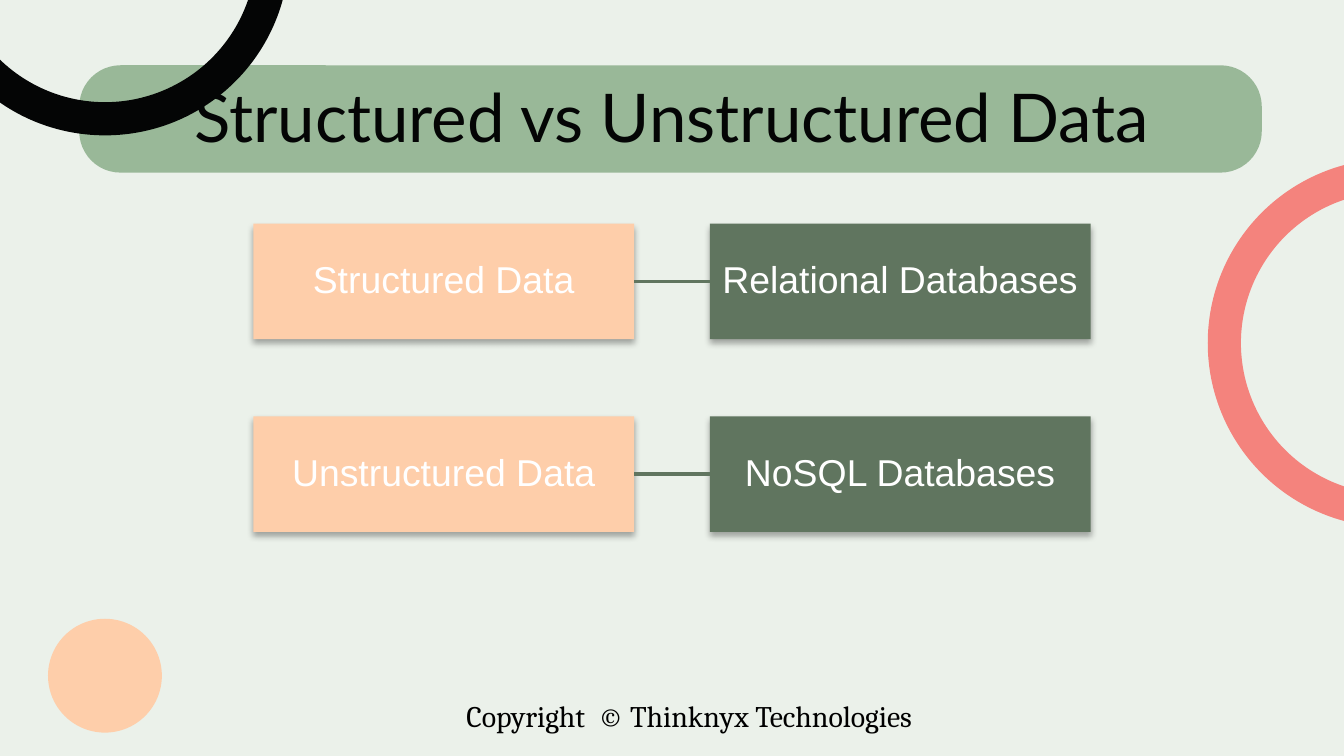
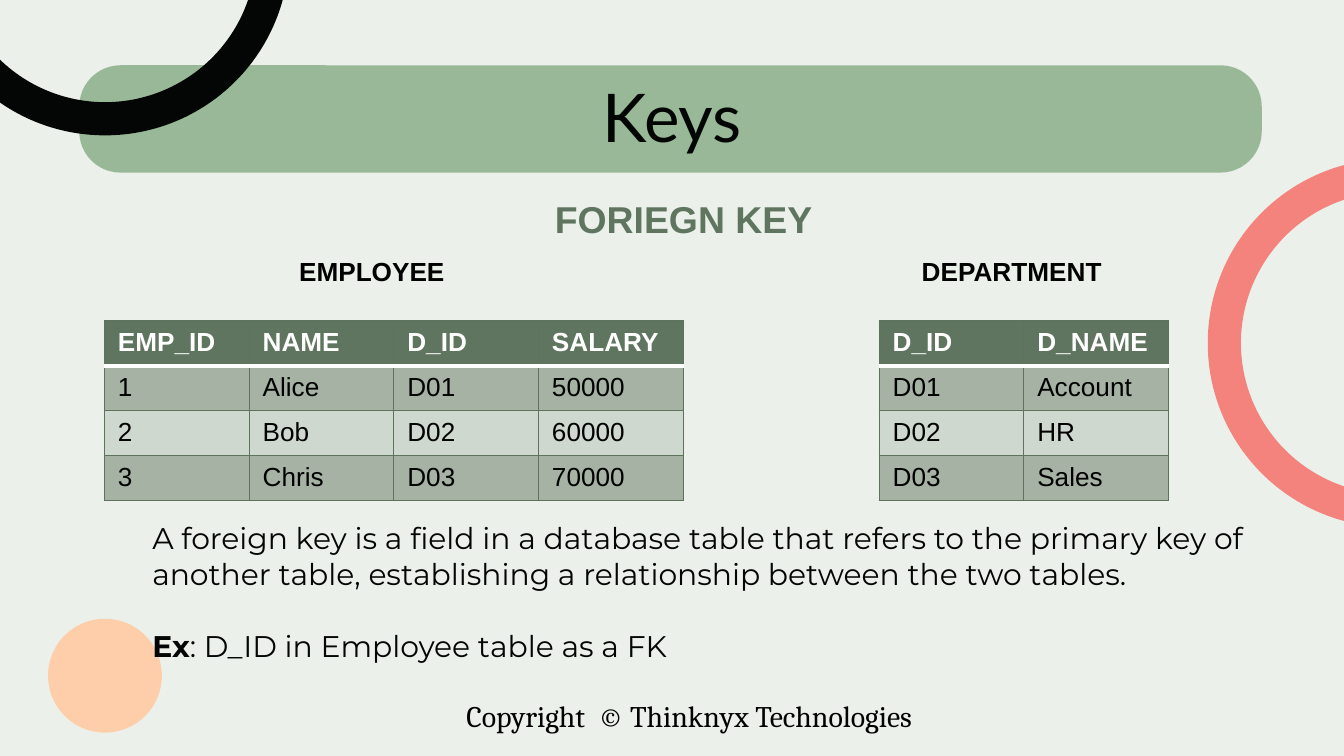
"""Build two database slides: structured vs unstructured data, and the foreign key."""
from dataclasses import dataclass

from lxml import etree
from pptx import Presentation
from pptx.dml.color import RGBColor
from pptx.enum.shapes import MSO_CONNECTOR, MSO_SHAPE
from pptx.enum.text import MSO_ANCHOR, PP_ALIGN
from pptx.oxml.ns import qn
from pptx.util import Pt

STRAIGHT = MSO_CONNECTOR.STRAIGHT
RECTANGLE, ROUNDED = MSO_SHAPE.RECTANGLE, MSO_SHAPE.ROUNDED_RECTANGLE
OVAL, ARC = MSO_SHAPE.OVAL, MSO_SHAPE.BLOCK_ARC
MIDDLE = MSO_ANCHOR.MIDDLE
LEFT, CENTER = PP_ALIGN.LEFT, PP_ALIGN.CENTER
RIGHT_SIDE, LEFT_SIDE = 3, 1


@dataclass(frozen=True)
class Theme:
    paper: str = "EBF1EA"
    sage: str = "99B898"
    peach: str = "FECEAA"
    coral: str = "F4837D"
    ink: str = "040505"
    black: str = "000000"
    white: str = "FFFFFF"
    moss: str = "60755F"
    rule: str = "5D735C"
    title: int = 36
    heading: int = 20
    body: int = 16
    label: int = 14


THEME = Theme()
TITLE = {"name": "Lato", "size": THEME.title, "color": THEME.ink, "bold": False}
FOOTER = {"name": "Cambria", "size": THEME.body, "color": THEME.black, "bold": False}
BOX = {"name": "Arial", "size": THEME.heading, "color": THEME.white, "bold": False}
HEADING = {**BOX, "color": THEME.moss, "bold": True}
LABEL = {"name": "Arial", "size": THEME.label, "color": THEME.black, "bold": True}
HEADER_CELL = {**LABEL, "color": THEME.white}
BODY_CELL = {**LABEL, "bold": False}
BODY = {"name": "Montserrat", "size": THEME.body, "color": THEME.ink, "bold": False}


def write(paragraph, text, style, align=CENTER):
    paragraph.alignment = align
    run = paragraph.add_run()
    run.text = text
    for attribute, value in style.items():
        if attribute == "color":
            run.font.color.rgb = RGBColor.from_string(value)
        else:
            setattr(run.font, attribute, Pt(value) if attribute == "size" else value)


def add_plain_shape(slide, kind, bounds, color):
    shape = slide.shapes.add_shape(kind, *map(Pt, bounds))
    shape.shadow.inherit = False
    shape.fill.solid()
    shape.fill.fore_color.rgb = RGBColor.from_string(color)
    shape.line.fill.background()
    return shape


prs = Presentation()
prs.slide_width, prs.slide_height = Pt(720), Pt(405)
backdrop = prs.slide_master.background.fill
backdrop.solid()
backdrop.fore_color.rgb = RGBColor.from_string(THEME.paper)

DECORATIONS = [
    (ROUNDED, (42.5, 35, 633.5, 57.5), THEME.sage, 0, [0.384]),
    (OVAL, (25.75, 331.5, 61, 61), THEME.peach, 0, []),
    (ARC, (647, 85, 197.5, 197.5), THEME.coral, 270, [108, 0.44, 0.09]),
    (ARC, (-42.5, -125, 197.5, 197.5), THEME.ink, 180, [108, 0.44, 0.09]),
]

slides = []
for title in ("Structured vs Unstructured Data", "Keys"):
    slide = prs.slides.add_slide(prs.slide_layouts[6])
    slides.append(slide)
    footer = slide.shapes.add_textbox(Pt(226), Pt(370), Pt(286.5), Pt(26.5)).text_frame
    footer.word_wrap = False
    write(footer.paragraphs[0], "Copyright  © Thinknyx Technologies", FOOTER)
    for kind, bounds, color, rotation, adjustments in DECORATIONS:
        decoration = add_plain_shape(slide, kind, bounds, color)
        decoration.rotation = rotation
        for index, value in enumerate(adjustments):
            decoration.adjustments[index] = value
    heading = slide.shapes.add_textbox(Pt(56), Pt(48.5), Pt(608), Pt(34)).text_frame
    heading.word_wrap = True
    for side in ("left", "top", "right", "bottom"):
        setattr(heading, f"margin_{side}", 0)
    heading.paragraphs[0].line_spacing = 0.8
    write(heading.paragraphs[0], title, TITLE)

comparison, keys = slides

PAIRS = [
    ("Structured Data", "Relational Databases"),
    ("Unstructured Data", "NoSQL Databases"),
]
BOX_WIDTH, BOX_HEIGHT = 204, 62
BOX_LEFT, BOX_TOP = 135.75, 119.75
COLUMN_STEP, ROW_STEP = 244.5, 103.25

for row, pair in enumerate(PAIRS):
    ends = []
    for column, (text, color) in enumerate(zip(pair, (THEME.peach, THEME.moss))):
        bounds = (BOX_LEFT + column * COLUMN_STEP, BOX_TOP + row * ROW_STEP,
                  BOX_WIDTH, BOX_HEIGHT)
        box = add_plain_shape(comparison, RECTANGLE, bounds, color)
        shadow = etree.SubElement(
            box._element.spPr.find(qn("a:effectLst")), qn("a:outerShdw"),
            blurRad=str(Pt(3.5)), dist=str(Pt(2.2)), dir="5400000", rotWithShape="0")
        shade = etree.SubElement(shadow, qn("a:srgbClr"), val=THEME.black)
        etree.SubElement(shade, qn("a:alpha"), val="32000")
        frame = box.text_frame
        frame.word_wrap = True
        frame.vertical_anchor = MIDDLE
        for side in ("left", "top", "right", "bottom"):
            setattr(frame, f"margin_{side}", Pt(1))
        frame.paragraphs[0].line_spacing = 0.9
        write(frame.paragraphs[0], text, BOX)
        ends.append(box)
    link = comparison.shapes.add_connector(STRAIGHT, 0, 0, 0, 0)
    link.begin_connect(ends[0], RIGHT_SIDE)
    link.end_connect(ends[1], LEFT_SIDE)
    link.line.width = Pt(2)
    link.line.color.rgb = RGBColor.from_string(THEME.moss)
    etree.SubElement(link._element.spPr, qn("a:effectLst"))

EMPLOYEE = [
    ("EMP_ID", "NAME", "D_ID", "SALARY"),
    ("1", "Alice", "D01", "50000"),
    ("2", "Bob", "D02", "60000"),
    ("3", "Chris", "D03", "70000"),
]
DEPARTMENT = [
    ("D_ID", "D_NAME"),
    ("D01", "Account"),
    ("D02", "HR"),
    ("D03", "Sales"),
]
COLUMN_WIDTH, ROW_HEIGHT = 77.5, 23
THIN, THICK = (THEME.rule, 0.75), (THEME.white, 2)

for left, records in ((56, EMPLOYEE), (471, DEPARTMENT)):
    columns = len(records[0])
    table = keys.shapes.add_table(
        len(records), columns, Pt(left), Pt(172), Pt(columns * COLUMN_WIDTH),
        Pt(len(records) * ROW_HEIGHT)).table
    table.horz_banding = False
    for row, record in enumerate(records):
        opacity = 100 if row == 0 else 50 if row % 2 else 20
        borders = {"lnL": THIN, "lnR": THIN,
                   "lnT": THICK if row == 1 else THIN,
                   "lnB": THICK if row == 0 else THIN}
        for column, text in enumerate(record):
            cell = table.cell(row, column)
            properties = cell._tc.get_or_add_tcPr()
            for edge, (color, width) in borders.items():
                border = etree.SubElement(properties, qn(f"a:{edge}"), w=str(Pt(width)))
                paint = etree.SubElement(border, qn("a:solidFill"))
                etree.SubElement(paint, qn("a:srgbClr"), val=color)
            cell.fill.solid()
            cell.fill.fore_color.rgb = RGBColor.from_string(THEME.moss)
            tint = properties.find(qn("a:solidFill")).find(qn("a:srgbClr"))
            etree.SubElement(tint, qn("a:alpha"), val=str(opacity * 1000))
            write(cell.text_frame.paragraphs[0], text,
                  BODY_CELL if row else HEADER_CELL, LEFT)

CAPTIONS = [
    ("EMPLOYEE", (103.5, 133.5, 191.5, 24.25), LABEL),
    ("DEPARTMENT", (446.25, 133.5, 191.5, 24.25), LABEL),
    ("FORIEGN KEY", (270.5, 101.5, 191.5, 31.5), HEADING),
]
for text, bounds, style in CAPTIONS:
    caption = keys.shapes.add_textbox(*map(Pt, bounds)).text_frame
    caption.word_wrap = True
    write(caption.paragraphs[0], text, style)

explanation = keys.shapes.add_textbox(Pt(74.5), Pt(275), Pt(616.5), Pt(85)).text_frame
explanation.word_wrap = True
write(explanation.paragraphs[0],
      "A foreign key is a field in a database table that refers to the primary key of "
      "another table, establishing a relationship between the two tables.", BODY, LEFT)
example = explanation.add_paragraph()
example.space_before = Pt(19.5)
write(example, "Ex", {**BODY, "bold": True}, LEFT)
write(example, ": D_ID in Employee table as a FK", BODY, LEFT)

prs.save("out.pptx")
